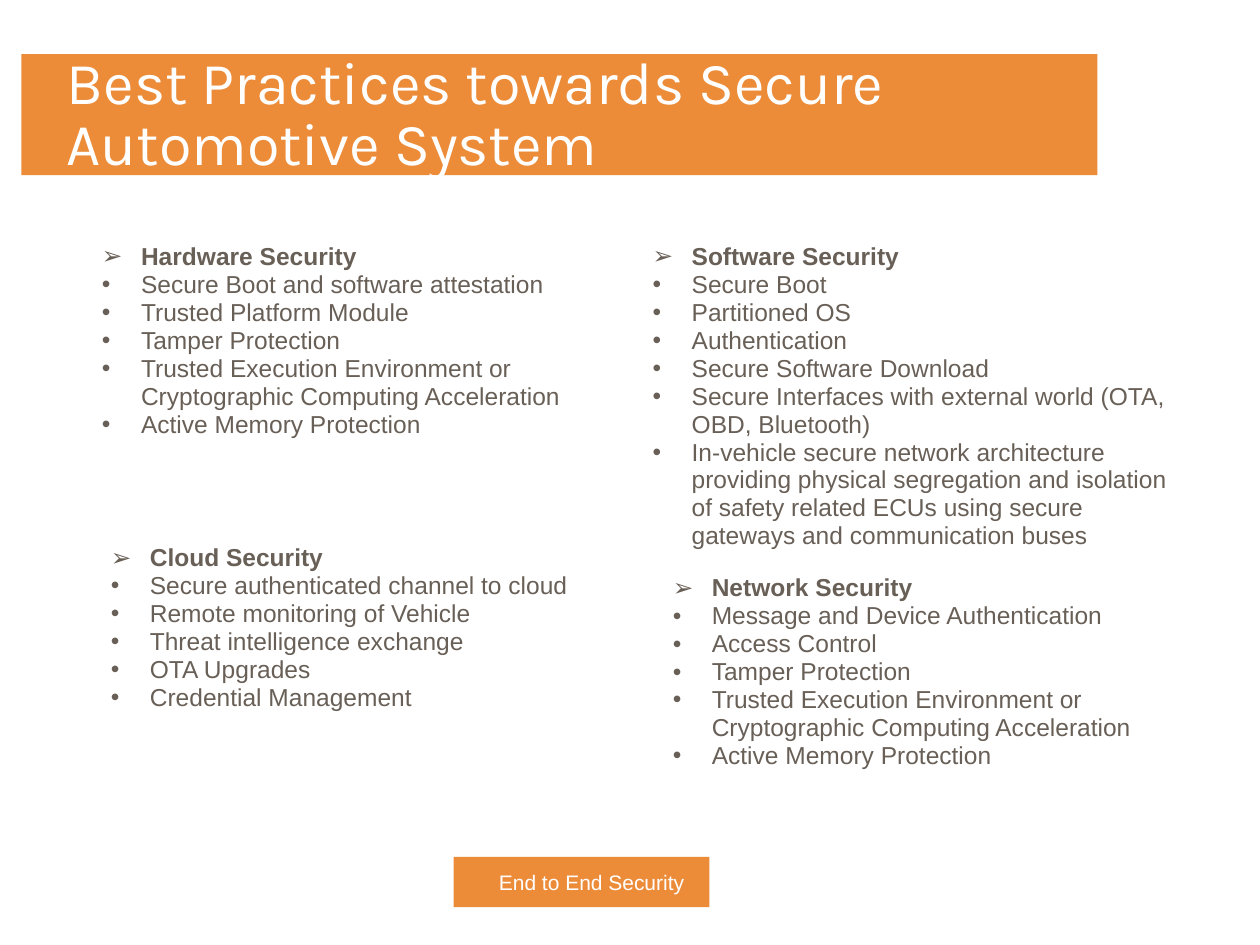
import pptx
import pptx.dml.color
import pptx.enum.shapes
import pptx.enum.text
import pptx.oxml.ns
import pptx.util
from lxml import etree
from pptx.util import Inches

COLORS = {"orange": "EB8024", "white": "FFFFFF", "text": "685F57"}

TOPICS = [
    ((0.4, 1.83, 4.37, 2.02), "Hardware Security", [
        "Secure Boot and software attestation",
        "Trusted Platform Module",
        "Tamper Protection",
        "Trusted Execution Environment or Cryptographic Computing Acceleration",
        "Active Memory Protection",
    ]),
    ((4.77, 1.83, 4.63, 2.99), "Software Security", [
        "Secure Boot",
        "Partitioned OS",
        "Authentication",
        "Secure Software Download",
        "Secure Interfaces with external world (OTA, OBD, Bluetooth)",
        "In-vehicle secure network architecture providing physical segregation "
        "and isolation of safety related ECUs using secure gateways and "
        "communication buses",
    ]),
    ((0.47, 4.22, 4.37, 2.57), "Cloud Security", [
        "Secure authenticated channel to cloud",
        "Remote monitoring of Vehicle",
        "Threat intelligence exchange",
        "OTA Upgrades",
        "Credential Management",
    ]),
    ((4.93, 4.46, 4.37, 2.34), "Network Security", [
        "Message and Device Authentication",
        "Access Control",
        "Tamper Protection",
        "Trusted Execution Environment or Cryptographic Computing Acceleration",
        "Active Memory Protection",
    ]),
]


def add_child(parent, tag, **attributes):
    child = etree.SubElement(parent, pptx.oxml.ns.qn(tag))
    for name, value in attributes.items():
        child.set(name, value)
    return child


def add_bullet(paragraph, symbol, color):
    """Give the paragraph a hanging indent and a coloured bullet."""
    properties = paragraph._p.get_or_add_pPr()
    properties.set("marL", str(Inches(0.31)))
    properties.set("indent", str(Inches(-0.31)))
    add_child(add_child(properties, "a:buClr"), "a:srgbClr", val=color)
    add_child(properties, "a:buFont", typeface="Arial")
    add_child(properties, "a:buChar", char=symbol)


def write(frame, text, size=14, font="Arial", color="text", bold=False,
          spacing=0.95, bullet=None, level=0):
    """Fill the frame's empty first paragraph, or append a new one."""
    first = frame.paragraphs[0]
    paragraph = frame.add_paragraph() if first.runs else first
    paragraph.level = level
    if bullet:
        add_bullet(paragraph, bullet, COLORS[color])
    paragraph.alignment = pptx.enum.text.PP_ALIGN.LEFT
    paragraph.line_spacing = spacing
    run = paragraph.add_run()
    run.text = text
    run.font.size = pptx.util.Pt(size)
    run.font.name = font
    run.font.bold = bold
    run.font.color.rgb = pptx.dml.color.RGBColor.from_string(COLORS[color])


class SlideBuilder:
    """Holds the deck's style and the slide being built."""

    def __init__(self, slide, colors):
        self.slide = slide
        self.colors = colors

    def panel(self, place, color, opacity, insets, anchor):
        """Add a borderless translucent rectangle and return its text frame."""
        shape = self.slide.shapes.add_shape(
            pptx.enum.shapes.MSO_SHAPE.RECTANGLE, *map(Inches, place))
        shape.shadow.inherit = False
        shape.line.fill.background()
        shape.fill.solid()
        shape.fill.fore_color.rgb = pptx.dml.color.RGBColor.from_string(
            self.colors[color])
        fill_color = shape._element.spPr.find(
            ".//" + pptx.oxml.ns.qn("a:srgbClr"))
        add_child(fill_color, "a:alpha", val=str(opacity * 1000))
        frame = shape.text_frame
        frame.word_wrap = True
        frame.vertical_anchor = anchor
        frame.margin_left, frame.margin_top = map(Inches, insets)
        frame.margin_right = frame.margin_bottom = 0
        return frame

    def banner(self, place, text, size, font):
        frame = self.panel(place, "orange", 90, (0.36, 0.03),
                           pptx.enum.text.MSO_ANCHOR.MIDDLE)
        write(frame, text, size=size, font=font, color="white", spacing=0.85)

    def topic(self, place, heading, practices):
        frame = self.panel(place, "white", 85, (0.41, 0.1),
                           pptx.enum.text.MSO_ANCHOR.TOP)
        write(frame, heading, bold=True, bullet="➢")
        for practice in practices:
            write(frame, practice, bullet="•", level=1)


def main():
    deck = pptx.Presentation()
    deck.slide_width, deck.slide_height = Inches(10), Inches(7.5)
    builder = SlideBuilder(deck.slides.add_slide(deck.slide_layouts[6]), COLORS)
    builder.banner((0.17, 0.43, 8.54, 0.96),
                   "Best Practices towards Secure Automotive System", 34, "Karla")
    for place, heading, practices in TOPICS:
        builder.topic(place, heading, practices)
    builder.banner((3.6, 6.8, 2.03, 0.4), "End to End Security", 12, "Arial")
    deck.save("out.pptx")


if __name__ == "__main__":
    main()
